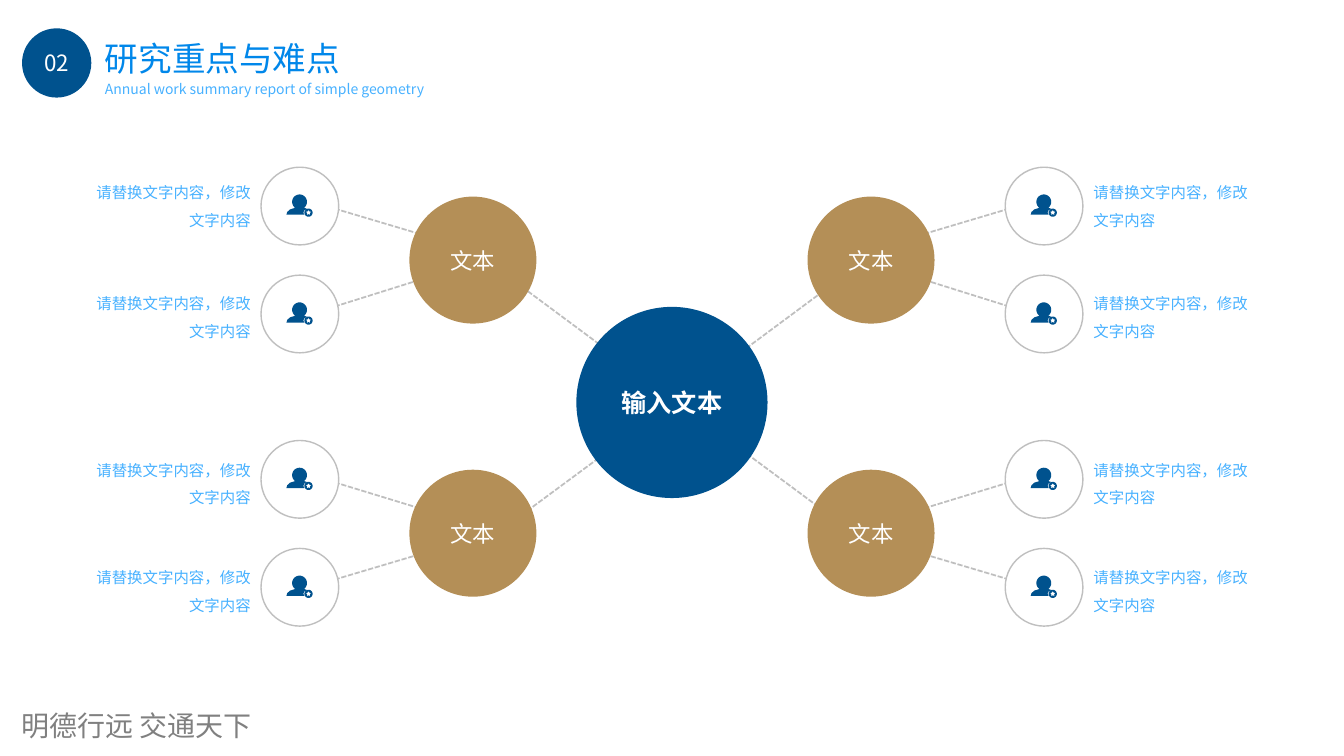
from math import cos, radians, sin

from lxml.etree import SubElement
from pptx import Presentation
from pptx.dml.color import RGBColor
from pptx.enum.dml import MSO_LINE
from pptx.enum.shapes import MSO_CONNECTOR, MSO_SHAPE
from pptx.enum.text import MSO_ANCHOR, PP_ALIGN
from pptx.oxml.ns import qn
from pptx.util import Pt

SANS = "Noto Sans CJK SC"
NAVY, GOLD, GREY, WHITE = "00528E", "B48F57", "BFBFBF", "FFFFFF"
BLUE, SKY = "0087EA", "47B1FF"
MID_X = 480
HUB_Y = 287.5
TOPIC_X, DETAIL_X = 337.8, 214.2
TOPIC_YS = (185.8, 380.9)
# centre of the detail circle, top of its text, outer and inner end of its line
DETAILS = [
    (147.2, 121, 149, 167),
    (224.3, 200, 219, 200),
    (342.4, 319, 344.5, 363),
    (419.5, 396, 414, 396),
]
HUB_LINES = [
    (377, 208, 430.5, 247.7),
    (584, 211, 530.6, 250.6),
    (376.5, 365, 430, 325.5),
    (584.6, 362, 531.4, 322.6),
]


def rgb(value):
    return RGBColor.from_string(value)


def write(sp, text, size, color, align=PP_ALIGN.LEFT, anchor=MSO_ANCHOR.MIDDLE,
          bold=False, font=SANS):
    tf = sp.text_frame
    tf.word_wrap = True
    tf.vertical_anchor = anchor
    tf.text = text
    p = tf.paragraphs[0]
    p.alignment = align
    r = p.runs[0]
    r.font.size = Pt(size)
    r.font.bold = bold
    r.font.color.rgb = rgb(color)
    r.font.name = font
    SubElement(r.font._element, qn("a:ea"), typeface=font)
    return tf


def set_margins(tf, x, y):
    tf.margin_left = tf.margin_right = Pt(x)
    tf.margin_top = tf.margin_bottom = Pt(y)


def add_text(s, x, y, w, h, text, size, color, **style):
    sp = s.shapes.add_textbox(Pt(x), Pt(y), Pt(w), Pt(h))
    return write(sp, text, size, color, **style)


def add_circle(s, cx, cy, d, fill, line=None, width=1):
    sp = s.shapes.add_shape(MSO_SHAPE.OVAL, Pt(cx - d / 2), Pt(cy - d / 2), Pt(d), Pt(d))
    sp.shadow.inherit = False
    sp.fill.solid()
    sp.fill.fore_color.rgb = rgb(fill)
    if line:
        sp.line.color.rgb = rgb(line)
        sp.line.width = Pt(width)
    else:
        sp.line.fill.background()
    return sp


def add_dashed_line(s, x1, y1, x2, y2):
    line = s.shapes.add_connector(MSO_CONNECTOR.STRAIGHT, Pt(x1), Pt(y1), Pt(x2), Pt(y2))
    line.line.color.rgb = rgb(GREY)
    line.line.width = Pt(1.25)
    line.line.dash_style = MSO_LINE.SQUARE_DOT
    SubElement(line._element.spPr, qn("a:effectLst"))


def arc(cx, cy, r, start, end, step=10):
    return [(cx + r * cos(radians(a)), cy + r * sin(radians(a)))
            for a in range(start, end + 1, step)]


def add_user_icon(s, cx, cy):
    """Person with a starred badge, centred on a detail circle."""
    person = arc(-0.2, -3, 5.3, 130, 410) + [
        (2.6, 1.1), (4.8, 1.8), (3.2, 3), (2.5, 4.7), (3.2, 6.2),
        (-9.6, 6.2), (-9, 4.2), (-7, 2.4), (-2.8, 1.1)]
    badge = arc(6.2, 4.7, 2.9, 0, 350)
    star = [arc(6.2, 4.7, 2 if i % 2 == 0 else 1.1, a, a)[0]
            for i, a in enumerate(range(-90, 270, 36))]
    unit = 100
    outlines = [[(round((cx + x) * unit), round((cy + y) * unit)) for x, y in points]
                for points in (person, badge, star)]
    builder = s.shapes.build_freeform(*outlines[0][0], scale=Pt(1) / unit)
    for i, points in enumerate(outlines):
        if i:
            builder.move_to(*points[0])
        builder.add_line_segments(points[1:], close=True)
    sp = builder.convert_to_shape()
    sp.shadow.inherit = False
    sp.fill.solid()
    sp.fill.fore_color.rgb = rgb(NAVY)
    sp.line.fill.background()


def add_header(s):
    title = s.shapes.title
    title.left, title.top, title.width, title.height = Pt(70), Pt(24.5), Pt(199), Pt(34.5)
    set_margins(write(title, "研究重点与难点", 24, BLUE), 5, 3)
    tf = add_text(s, 70, 54.7, 289, 17.3,
                  "Annual work summary report of simple geometry", 10, SKY)
    set_margins(tf, 5, 3)
    number = add_circle(s, 40.5, 45, 49.5, NAVY)
    set_margins(write(number, "02", 16, WHITE, PP_ALIGN.CENTER), 0, 0)


def add_detail(s, side, cy, text_top):
    cx = MID_X + side * (MID_X - DETAIL_X)
    add_circle(s, cx, cy, 55.5, WHITE, GREY)
    add_user_icon(s, cx, cy)
    tf = add_text(s, 53.3 if side < 0 else 774, text_top, 133, 52,
                  "请替换文字内容，修改文字内容", 11, SKY, anchor=MSO_ANCHOR.TOP,
                  align=PP_ALIGN.RIGHT if side < 0 else PP_ALIGN.LEFT)
    tf.paragraphs[0].line_spacing = 1.5


def main():
    prs = Presentation()
    prs.slide_width, prs.slide_height = Pt(960), Pt(540)
    s = prs.slides.add_slide(prs.slide_layouts[5])
    add_header(s)
    add_text(s, 8, 502, 284, 31.5, "明德行远 交通天下", 20, "808080",
             font="Noto Sans CJK JP")

    for ends in HUB_LINES:
        add_dashed_line(s, *ends)
    for side in (-1, 1):
        for _, _, outer_y, inner_y in DETAILS:
            add_dashed_line(s, MID_X + side * 241, outer_y, MID_X + side * 180.5, inner_y)

    hub = add_circle(s, MID_X, HUB_Y, 134.3, NAVY, NAVY, 2.25)
    write(hub, "输入文本", 18, WHITE, PP_ALIGN.CENTER, bold=True)
    for side in (-1, 1):
        for cy in TOPIC_YS:
            topic = add_circle(s, MID_X + side * (MID_X - TOPIC_X), cy, 90.7, GOLD)
            write(topic, "文本", 16, WHITE, PP_ALIGN.CENTER)
        for cy, text_top, _, _ in DETAILS:
            add_detail(s, side, cy, text_top)
    prs.save("out.pptx")


if __name__ == "__main__":
    main()
